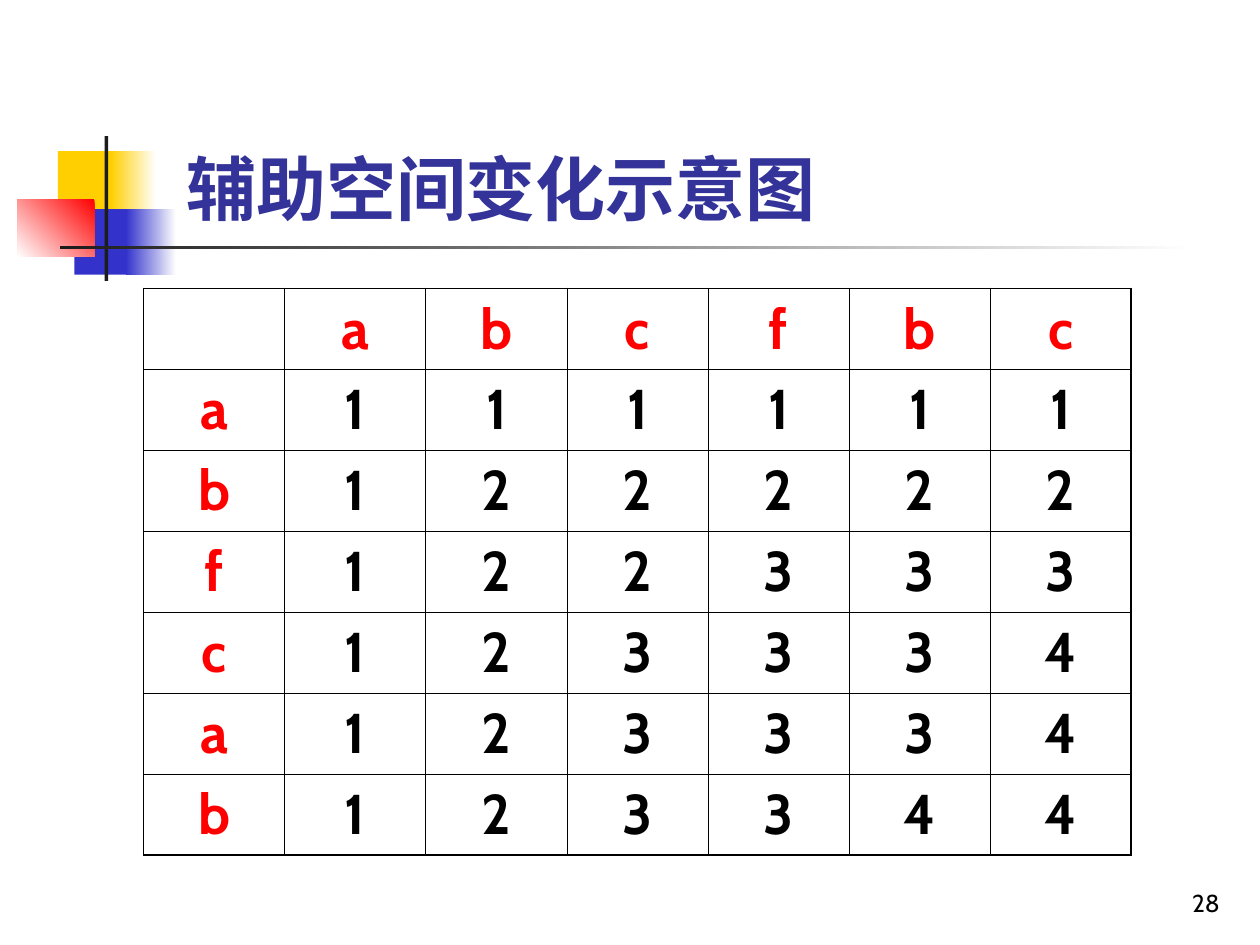
from lxml.etree import SubElement
from pptx import Presentation
from pptx.dml.color import RGBColor
from pptx.enum.shapes import MSO_SHAPE
from pptx.enum.text import MSO_ANCHOR, PP_ALIGN
from pptx.oxml.ns import qn
from pptx.util import Inches, Pt

FONT = "Cabin"
ACROSS = "abcfbc"
DOWN = "abfcab"
LENGTHS = ["111111", "122222", "122333", "123334", "123334", "123344"]


def color(value):
    """Turn a hex string into a colour."""
    return RGBColor.from_string(value)


def write(tf, text, size=32, ink="000000", bold=False, align=PP_ALIGN.LEFT,
          anchor=MSO_ANCHOR.TOP):
    """Put one formatted paragraph into a text frame."""
    tf.word_wrap = True
    tf.vertical_anchor = anchor
    p = tf.paragraphs[0]
    p.alignment = align
    r = p.add_run()
    r.text = text
    r.font.name = FONT
    r.font.size = Pt(size)
    r.font.bold = bold
    r.font.color.rgb = color(ink)


def add_text(s, box, text, **fmt):
    """Add a text box at left, top, width, height in inches."""
    sp = s.shapes.add_textbox(*map(Inches, box))
    write(sp.text_frame, text, **fmt)


def add_block(s, box, start, end=None, angle=180):
    """Add a borderless rectangle, plain or graded from start to end."""
    sp = s.shapes.add_shape(MSO_SHAPE.RECTANGLE, *map(Inches, box))
    sp.shadow.inherit = False
    sp.line.fill.background()
    if end is None:
        sp.fill.solid()
        sp.fill.fore_color.rgb = color(start)
        return
    sp.fill.gradient()
    sp.fill.gradient_angle = angle
    for stop, position, ink in zip(sp.fill.gradient_stops, (0, 1), (start, end)):
        stop.position = position
        stop.color.rgb = color(ink)


def add_ornament(s, left, top):
    """Draw the coloured squares and the crossing rules."""
    parts = [
        ((0.32, 0.12, 0.48, 0.52), "FFCF01"),
        ((0.74, 0.12, 0.36, 0.52), "FFFFFF", "FFCF01"),
        ((0.45, 0.58, 0.46, 0.52), "3333CC"),
        ((0.86, 0.58, 0.4, 0.52), "FFFFFF", "3333CC"),
        ((0, 0.5, 0.61, 0.46), "FF0000", "FFFFFF", 225),
        ((0.69, 0, 0.03, 1.15), "1C1C1C"),
        ((0.34, 0.87, 9, 0.03), "FFFFFF", "1C1C1C"),
    ]
    for (x, y, w, h), *paint in parts:
        add_block(s, (left + x, top + y, w, h), *paint)


def set_borders(cell, widths):
    """Draw black cell borders, widths given for left, right, top, bottom."""
    tc_pr = cell._tc.get_or_add_tcPr()
    for i, (side, width) in enumerate(zip("LRTB", widths)):
        ln = SubElement(tc_pr, qn(f"a:ln{side}"), w=str(Pt(width)))
        tc_pr.insert(i, ln)
        fill = SubElement(ln, qn("a:solidFill"))
        SubElement(fill, qn("a:srgbClr"), val="000000")


def add_length_table(s, left, top, width, height):
    """Add the grid of common subsequence lengths."""
    grid = [" " + ACROSS] + [a + b for a, b in zip(DOWN, LENGTHS)]
    n = len(grid)
    table = s.shapes.add_table(n, n, *map(Inches, (left, top, width, height))).table
    table.first_row = table.horz_banding = False
    for i, row in enumerate(grid):
        for j, text in enumerate(row):
            cell = table.cell(i, j)
            cell.fill.background()
            edges = (j == 0, j == n - 1, i == 0, i == n - 1)
            set_borders(cell, [1.08 if edge else 0.45 for edge in edges])
            if text.strip():
                ink = "FF0000" if i == 0 or j == 0 else "000000"
                write(cell.text_frame, text, ink=ink, bold=True, align=PP_ALIGN.CENTER)


def main():
    """Build and save the slide."""
    prs = Presentation()
    prs.slide_width, prs.slide_height = Inches(10), Inches(7.5)
    s = prs.slides.add_slide(prs.slide_layouts[6])
    add_ornament(s, 0.14, 1.08)
    add_length_table(s, 1.14, 2.29, 7.84, 4.49)
    add_text(s, (1.38, 1.11, 6.22, 0.77), "辅助空间变化示意图",
             size=40, ink="333399", bold=True)
    add_text(s, (7.7, 6.83, 2.08, 0.5), "28", size=14,
             align=PP_ALIGN.RIGHT, anchor=MSO_ANCHOR.BOTTOM)
    prs.save("out.pptx")


if __name__ == "__main__":
    main()
